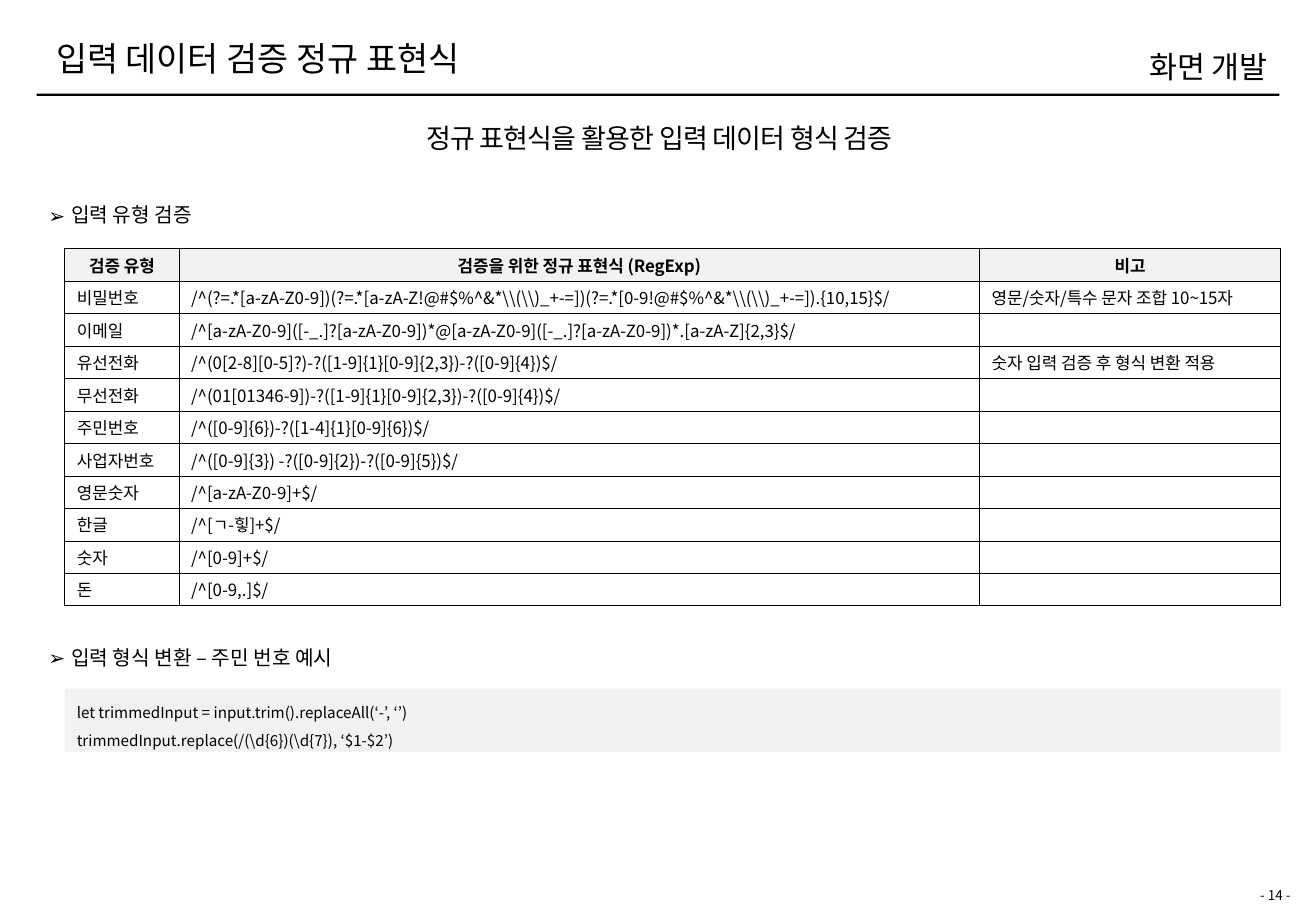
"""Build the slide on regular expressions for validating input data."""
from lxml.etree import SubElement
from pptx import Presentation
from pptx.dml.color import RGBColor
from pptx.enum.shapes import MSO_SHAPE as Shape
from pptx.enum.text import MSO_ANCHOR as Anchor, MSO_AUTO_SIZE as AutoSize, PP_ALIGN as Align
from pptx.oxml.ns import qn
from pptx.util import Pt

BLACK = RGBColor(0x00, 0x00, 0x00)
PALE_GRAY = RGBColor(0xF2, 0xF2, 0xF2)
FONT = "Noto Sans CJK KR"

HEADER = ("검증 유형", "검증을 위한 정규 표현식 (RegExp)", "비고")
CHECKS = (
    ("비밀번호",
     r"/^(?=.*[a-zA-Z0-9])(?=.*[a-zA-Z!@#$%^&*\\(\\)_+-=])(?=.*[0-9!@#$%^&*\\(\\)_+-=]).{10,15}$/",
     "영문/숫자/특수 문자 조합 10~15자"),
    ("이메일", "/^[a-zA-Z0-9]([-_.]?[a-zA-Z0-9])*@[a-zA-Z0-9]([-_.]?[a-zA-Z0-9])*.[a-zA-Z]{2,3}$/", ""),
    ("유선전화", "/^(0[2-8][0-5]?)-?([1-9]{1}[0-9]{2,3})-?([0-9]{4})$/", "숫자 입력 검증 후 형식 변환 적용"),
    ("무선전화", "/^(01[01346-9])-?([1-9]{1}[0-9]{2,3})-?([0-9]{4})$/", ""),
    ("주민번호", "/^([0-9]{6})-?([1-4]{1}[0-9]{6})$/", ""),
    ("사업자번호", "/^([0-9]{3}) -?([0-9]{2})-?([0-9]{5})$/", ""),
    ("영문숫자", "/^[a-zA-Z0-9]+$/", ""),
    ("한글", "/^[ㄱ-힣]+$/", ""),
    ("숫자", "/^[0-9]+$/", ""),
    ("돈", "/^[0-9,.]$/", ""),
)
CODE = ("let trimmedInput = input.trim().replaceAll(‘-’, ‘’)",
        r"trimmedInput.replace(/(\d{6})(\d{7}), ‘$1-$2’)")


def assign(target, values):
    for name, value in values.items():
        setattr(target, name, value)


class SlideBuilder:
    def __init__(self, slide):
        self.slide = slide

    def fill_text(self, frame, lines, size, bold=False, bullet=None, tracking=None, **layout):
        frame.text = "\n".join(lines)
        for paragraph in frame.paragraphs:
            assign(paragraph, {"alignment": Align.LEFT, "space_before": Pt(0), **layout})
            properties = paragraph._p.get_or_add_pPr()
            indent = Pt(13.5) if bullet else 0
            properties.set("marL", str(indent))
            properties.set("indent", str(-indent))
            if bullet:
                SubElement(properties, qn("a:buFont"), typeface=FONT)
                SubElement(properties, qn("a:buChar"), char=bullet)
            else:
                SubElement(properties, qn("a:buNone"))
            for run in paragraph.runs:
                assign(run.font, {"size": Pt(size), "bold": bold, "name": FONT})
                run.font.color.rgb = BLACK
                run_properties = run._r.get_or_add_rPr()
                SubElement(run_properties, qn("a:ea"), typeface=FONT)
                if tracking:
                    run_properties.set("spc", str(tracking))
            if not paragraph.runs:
                SubElement(paragraph._p, qn("a:endParaRPr"), sz=str(size * 100))

    def place(self, shape, box):
        assign(shape, dict(zip(("left", "top", "width", "height"), map(Pt, box))))

    def placeholder(self, index, box, text, size, inset, **layout):
        holder = self.slide.placeholders[index]
        self.place(holder, box)
        assign(holder.text_frame, {
            "auto_size": AutoSize.NONE, "word_wrap": True, "vertical_anchor": Anchor.BOTTOM,
            "margin_top": Pt(inset), "margin_bottom": Pt(inset)})
        self.fill_text(holder.text_frame, [text], size, line_spacing=0.9, **layout)

    def text(self, box, text, size, **layout):
        frame = self.slide.shapes.add_textbox(*map(Pt, box)).text_frame
        frame.word_wrap = True
        self.fill_text(frame, [text], size, **layout)

    def heading(self, box, text):
        self.text(box, text, 12, bullet="➢", space_after=Pt(6))

    def panel(self, box, color):
        panel = self.slide.shapes.add_shape(Shape.RECTANGLE, *map(Pt, box))
        panel.shadow.inherit = False
        panel.fill.solid()
        panel.fill.fore_color.rgb = color
        panel.line.fill.background()
        return panel

    def code(self, box, lines):
        frame = self.panel(box, PALE_GRAY).text_frame
        assign(frame, {"word_wrap": True, "vertical_anchor": Anchor.TOP})
        self.fill_text(frame, lines, 9, line_spacing=1.5)

    def borders(self, cell):
        properties = cell._tc.get_or_add_tcPr()
        for side in ("lnL", "lnR", "lnT", "lnB"):
            line = SubElement(properties, qn(f"a:{side}"), w=str(Pt(0.5)))
            fill = SubElement(line, qn("a:solidFill"))
            SubElement(fill, qn("a:srgbClr"), val=str(BLACK))

    def table(self, box, rows, widths):
        table = self.slide.shapes.add_table(len(rows), len(widths), *map(Pt, box)).table
        table.horz_banding = False
        for column, width in zip(table.columns, widths):
            column.width = Pt(width)
        for row_index, values in enumerate(rows):
            is_header = row_index == 0
            table.rows[row_index].height = Pt(box[3] / len(rows))
            for column_index, value in enumerate(values):
                cell = table.cell(row_index, column_index)
                assign(cell, {"vertical_anchor": Anchor.MIDDLE,
                              "margin_top": Pt(2), "margin_bottom": Pt(2)})
                self.borders(cell)
                if is_header:
                    cell.fill.solid()
                    cell.fill.fore_color.rgb = PALE_GRAY
                else:
                    cell.fill.background()
                self.fill_text(cell.text_frame, [value], 10, bold=is_header,
                               alignment=Align.CENTER if is_header else Align.LEFT)


def main():
    deck = Presentation()
    assign(deck, {"slide_width": Pt(780), "slide_height": Pt(540)})
    builder = SlideBuilder(deck.slides.add_slide(deck.slide_layouts[1]))

    builder.panel((21.8, 55.5, 736.6, 1.4), BLACK)
    builder.text((732, 522.5, 48, 17.3), "- 14 -", 8, alignment=Align.CENTER)
    builder.placeholder(0, (26, 22.3, 570, 28), "입력 데이터 검증 정규 표현식", 20, 3.6)
    builder.placeholder(1, (534, 22.3, 224.6, 28), "화면 개발", 18, 0,
                        alignment=Align.RIGHT, space_before=Pt(10))
    builder.text((25.2, 64.8, 731.5, 29.5), "정규 표현식을 활용한 입력 데이터 형식 검증", 16,
                 tracking=-40, alignment=Align.CENTER, line_spacing=1.2)
    builder.heading((21.6, 116.6, 130.3, 21.6), "입력 유형 검증")
    builder.table((38.4, 147.4, 720.7, 211.9), (HEADER, *CHECKS), (67.7, 474.5, 178.5))
    builder.heading((21.6, 378.7, 235.4, 24.5), "입력 형식 변환 – 주민 번호 예시")
    builder.code((38.4, 408.2, 720.7, 37.4), CODE)

    deck.save("out.pptx")


if __name__ == "__main__":
    main()
